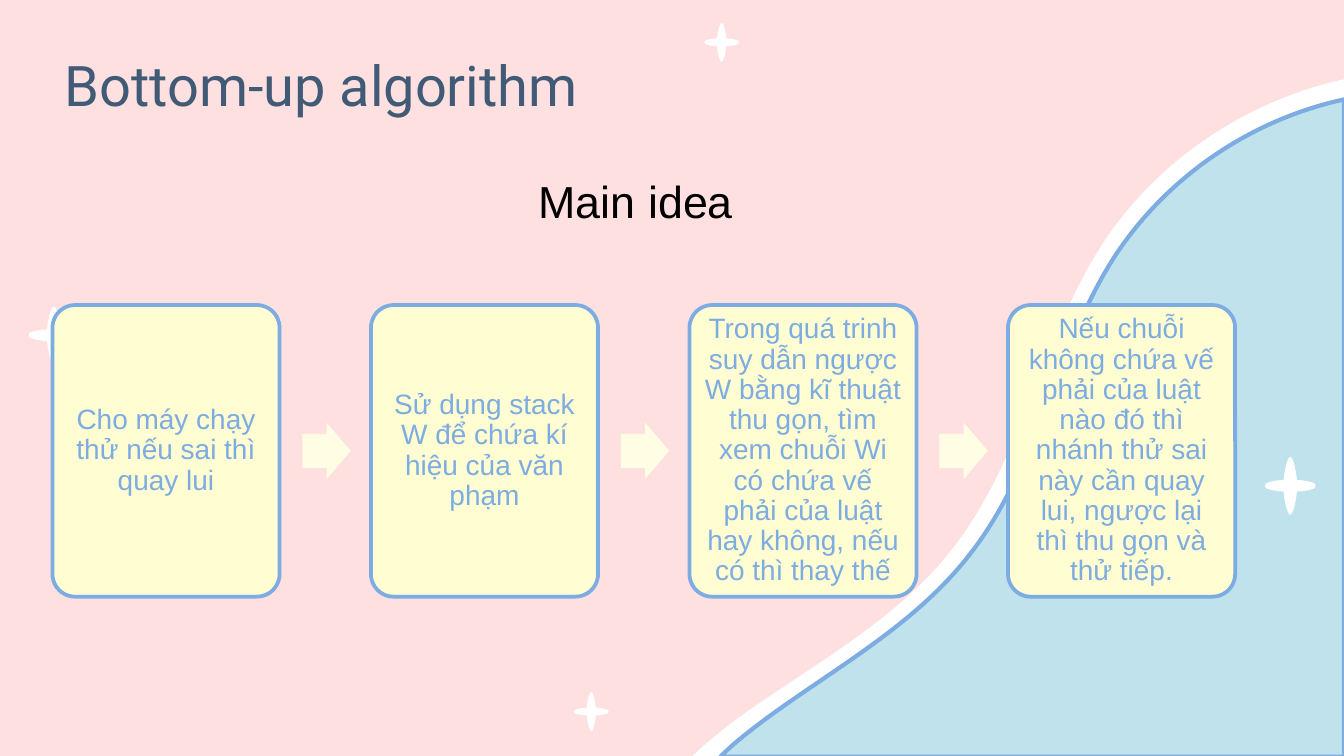
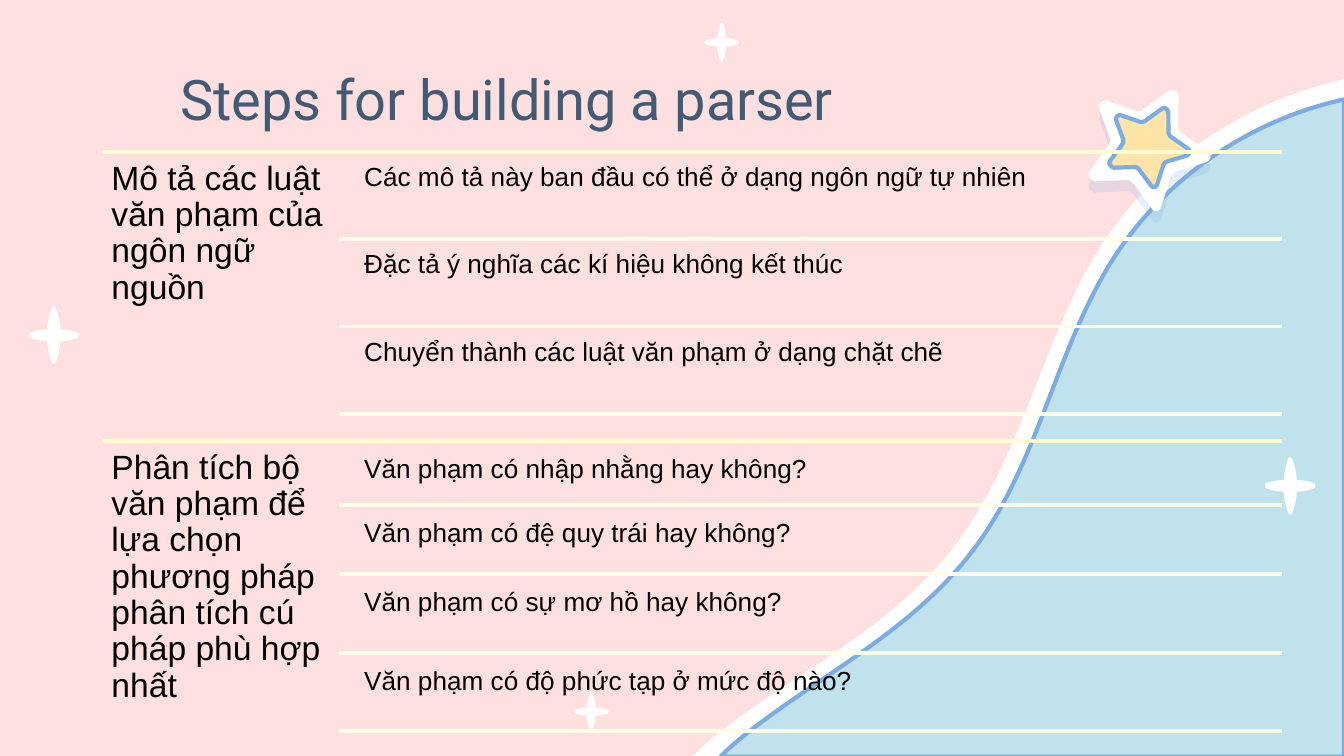
from math import cos, radians, sin

from lxml.etree import SubElement
from pptx import Presentation
from pptx.dml.color import RGBColor
from pptx.enum.shapes import MSO_CONNECTOR, MSO_SHAPE
from pptx.enum.text import MSO_ANCHOR, PP_ALIGN
from pptx.oxml.ns import qn
from pptx.util import Inches, Pt

# Shared look
PINK, WHITE, SKY, BLUE = "FFE0E1", "FFFFFF", "BFE2EC", "7CACE1"
NAVY, BLACK, CREAM, PALE, GOLD = "415A75", "000000", "FFFDD1", "FFFEE5", "FEE4A7"
RULE = "FFFEE9"

# Outlines: a start point, then lines (2 numbers) and curves (6 numbers)
WHITE_HILL = [
    (10, 0.59), (9.28, 0.75, 8.63, 1.18, 8.22, 1.79), (7.75, 2.5, 7.62, 3.4, 7.09, 4.08),
    (6.68, 4.61, 6.06, 4.94, 5.51, 5.33), (5.39, 5.42, 5.26, 5.52, 5.15, 5.63), (10, 5.63)]
BLUE_HILL = [
    (10, 0.74), (9.31, 0.89, 8.69, 1.31, 8.3, 1.9), (7.85, 2.59, 7.73, 3.47, 7.22, 4.12),
    (6.82, 4.64, 6.23, 4.96, 5.71, 5.34), (5.59, 5.43, 5.47, 5.52, 5.36, 5.63), (10, 5.63)]
HALF_SPARKLE = [
    (0.45, 0, 0.39, 0.2, 0.37, 0.4), (0.24, 0.4, 0.1, 0.43, 0.02, 0.46),
    (0, 0.48, 0, 0.52, 0.02, 0.54), (0.1, 0.57, 0.24, 0.6, 0.37, 0.6),
    (0.39, 0.8, 0.45, 1, 0.5, 1)]
# The other half is the first one turned about the centre
SPARKLE = [(0.5, 0)] + HALF_SPARKLE + [tuple(1 - v for v in part) for part in HALF_SPARKLE]
TILTED_STAR = [
    (8.74, 0.67), (8.72, 0.66, 8.71, 0.67, 8.69, 0.68), (8.5, 0.82),
    (8.49, 0.83, 8.48, 0.83, 8.46, 0.83), (8.23, 0.75), (8.2, 0.74, 8.16, 0.78, 8.18, 0.81),
    (8.26, 1.03), (8.26, 1.05, 8.26, 1.07, 8.25, 1.08), (8.11, 1.27),
    (8.09, 1.3, 8.1, 1.33, 8.13, 1.34), (8.13, 1.35, 8.14, 1.35, 8.15, 1.35), (8.39, 1.34),
    (8.39, 1.34, 8.4, 1.34, 8.4, 1.34), (8.41, 1.35, 8.42, 1.35, 8.43, 1.36), (8.57, 1.55),
    (8.57, 1.56, 8.58, 1.57, 8.59, 1.57), (8.61, 1.58, 8.64, 1.56, 8.64, 1.54), (8.71, 1.32),
    (8.72, 1.3, 8.73, 1.29, 8.74, 1.28), (8.97, 1.21), (9.01, 1.2, 9.02, 1.15, 8.99, 1.13),
    (8.79, 0.99), (8.78, 0.98, 8.77, 0.97, 8.77, 0.95), (8.77, 0.72),
    (8.77, 0.69, 8.75, 0.68, 8.74, 0.67)]
STAR_TILT = 21.8
STAR_BOX = (8.08, 0.63, 0.94, 0.89)
INNER_STAR_BOX = (8.24, 0.78, 0.62, 0.58)
UNIT_FRAME = (0, 0, 1, 1)
LARGE, SMALL = (0.38, 0.43), (0.26, 0.29)
SPARKLES = [(0.21, 2.28, *LARGE), (4.27, 5.15, *SMALL), (9.41, 3.4, *LARGE), (5.24, 0.17, *SMALL)]

# Slide content
IDEAS = [
    "Cho máy chạy thử nếu sai thì quay lui",
    "Sử dụng stack W để chứa kí hiệu của văn phạm",
    "Trong quá trinh suy dẫn ngược W bằng kĩ thuật thu gọn, tìm xem chuỗi Wi có chứa vế "
    "phải của luật hay không, nếu có thì thay thế",
    "Nếu chuỗi không chứa vế phải của luật nào đó thì nhánh thử sai này cần quay lui, "
    "ngược lại thì thu gọn và thử tiếp.",
]
SECTIONS = [
    dict(top=1.13, height=1.98, gap=0.03,
         label="Mô tả các luật văn phạm của ngôn ngữ nguồn",
         rows=[("Các mô tả này ban đầu có thể ở dạng ngôn ngữ tự nhiên", 0.65),
               ("Đặc tả ý nghĩa các kí hiệu không kết thúc", 0.65),
               ("Chuyển thành các luật văn phạm ở dạng chặt chẽ", 0.65)]),
    dict(top=3.28, height=2.22, gap=0.05,
         label="Phân tích bộ văn phạm để lựa chọn phương pháp phân tích cú pháp phù hợp nhất",
         rows=[("Văn phạm có nhập nhằng hay không?", 0.48),
               ("Văn phạm có đệ quy trái hay không?", 0.51),
               ("Văn phạm có sự mơ hồ hay không?", 0.59),
               ("Văn phạm có độ phức tạp ở mức độ nào?", 0.58)]),
]


def color(value):
    return RGBColor.from_string(value)


def paint(shape, fill, line=None, width=2):
    shape.shadow.inherit = False
    shape.fill.solid()
    shape.fill.fore_color.rgb = color(fill)
    if line:
        shape.line.color.rgb = color(line)
        shape.line.width = Pt(width)
    else:
        shape.line.fill.background()


def write(shape, text, size, ink, font="Arial", inset=0.06, left=None,
          align=PP_ALIGN.LEFT, anchor=MSO_ANCHOR.TOP, spacing=0.9):
    frame = shape.text_frame
    frame.word_wrap = True
    frame.vertical_anchor = anchor
    frame.margin_top = frame.margin_bottom = frame.margin_right = Inches(inset)
    frame.margin_left = Inches(inset if left is None else left)
    para = frame.paragraphs[0]
    para.alignment = align
    para.line_spacing = spacing
    span = para.add_run()
    span.text = text
    span.font.size, span.font.name = Pt(size), font
    span.font.color.rgb = color(ink)


def add_text(page, box, text, **style):
    write(page.shapes.add_textbox(*map(Inches, box)), text, **style)


def add_title(page, box, text, **style):
    add_text(page, box, text, size=30, ink=NAVY, font="Roboto", inset=0.1, spacing=1, **style)


def add_rule(page, left, right, top, ink):
    rule = page.shapes.add_connector(
        MSO_CONNECTOR.STRAIGHT, *map(Inches, (left, top, right, top)))
    rule.line.color.rgb = color(ink)
    rule.line.width = Pt(2)
    SubElement(rule.element.spPr, qn("a:effectLst"))


def pairs(part):
    return list(zip(part[::2], part[1::2]))


def turn(outline, degrees, box):
    """Turn an outline clockwise about the centre of a box."""
    left, top, width, height = box
    middle_x, middle_y = left + width / 2, top + height / 2
    c, s = cos(radians(degrees)), sin(radians(degrees))
    return [tuple(value for x, y in pairs(part) for value in (
        middle_x + (x - middle_x) * c - (y - middle_y) * s,
        middle_y + (x - middle_x) * s + (y - middle_y) * c)) for part in outline]


def add_outline(page, outline, fill, frame=UNIT_FRAME, box=UNIT_FRAME, **line):
    """Draw an outline, moved and scaled from its frame into a box."""
    parts = [[tuple(Inches(box[axis] + (point[axis] - frame[axis]) * box[axis + 2] / frame[axis + 2])
                    for axis in (0, 1)) for point in pairs(part)] for part in outline]
    builder = page.shapes.build_freeform(*parts[0][0])
    builder.add_line_segments([part[-1] for part in parts[1:]], close=True)
    shape = builder.convert_to_shape()
    # Bend the segments that have control points
    segments = list(shape.element.iter(qn("a:lnTo")))
    for segment, part in zip(segments, parts[1:]):
        if len(part) == 3:
            segment.tag = qn("a:cubicBezTo")
            segment.clear()
            for x, y in part:
                SubElement(segment, qn("a:pt"), x=str(x - shape.left), y=str(y - shape.top))
    paint(shape, fill, **line)
    return shape


def add_drop_shadow(shape, ink, alpha, distance):
    effects = shape.element.spPr.find(qn("a:effectLst"))
    shadow = SubElement(effects, qn("a:outerShdw"), dist=str(Pt(distance)),
                        dir="5400000", algn="bl", rotWithShape="0")
    tint = SubElement(shadow, qn("a:srgbClr"), val=ink)
    SubElement(tint, qn("a:alpha"), val=str(alpha * 1000))


def add_page(deck):
    page = deck.slides.add_slide(deck.slide_layouts[6])
    page.background.fill.solid()
    page.background.fill.fore_color.rgb = color(PINK)
    add_outline(page, WHITE_HILL, WHITE)
    add_outline(page, BLUE_HILL, SKY, line=BLUE, width=2.25)
    for box in SPARKLES:
        add_outline(page, SPARKLE, WHITE, box=box)
    return page


def build_algorithm(deck):
    page = add_page(deck)
    add_title(page, (0.38, 0.28, 5.51, 0.97), "Bottom-up algorithm")

    # Cards in a row, an arrow before each but the first
    first, pitch, top, width, height = 0.39, 2.37, 2.27, 1.69, 2.17
    arrow_width, arrow_height = 0.36, 0.42
    for index, idea in enumerate(IDEAS):
        left = first + index * pitch
        if index:
            arrow = page.shapes.add_shape(MSO_SHAPE.RIGHT_ARROW, *map(Inches, (
                left - 0.51, top + (height - arrow_height) / 2, arrow_width, arrow_height)))
            arrow.adjustments[0] = 0.6
            paint(arrow, PALE)
        card = page.shapes.add_shape(
            MSO_SHAPE.ROUNDED_RECTANGLE, *map(Inches, (left, top, width, height)))
        card.adjustments[0] = 0.1
        paint(card, CREAM, line=BLUE)
        write(card, idea, size=15, ink=BLUE, align=PP_ALIGN.CENTER, anchor=MSO_ANCHOR.MIDDLE)

    add_text(page, (3.91, 1.24, 3.27, 0.5), "Main idea",
             size=24, ink=BLACK, inset=0.05, left=0.1, spacing=1)


def build_parser_steps(deck):
    page = add_page(deck)
    add_title(page, (0.24, 0.38, 7.92, 0.63), "Steps for building a parser", left=1.1)

    # Star on the hill: one upright outline in two sizes, then tilted
    upright = turn(TILTED_STAR, -STAR_TILT, STAR_BOX)
    outer = add_outline(page, upright, WHITE, STAR_BOX, STAR_BOX)
    add_drop_shadow(outer, BLUE, alpha=19, distance=6)
    inner = add_outline(page, upright, GOLD, STAR_BOX, INNER_STAR_BOX, line=BLUE, width=2.25)
    outer.rotation = inner.rotation = STAR_TILT

    # Label at the left, ruled rows at the right
    left, split, right, indent = 0.76, 2.52, 9.54, 0.13
    for section in SECTIONS:
        top, gap = section["top"], section["gap"]
        add_rule(page, left, right, top, CREAM)
        add_text(page, (left, top, split - left, section["height"]), section["label"],
                 size=18, ink=BLACK, inset=0.07)
        for text, height in section["rows"]:
            add_text(page, (split + indent, top + gap, right - split - indent, height - gap),
                     text, size=14, ink=BLACK)
            top += height
            add_rule(page, split, right, top, RULE)


def main():
    deck = Presentation()
    deck.slide_width = Inches(10)
    deck.slide_height = deck.slide_width * 9 // 16
    build_algorithm(deck)
    build_parser_steps(deck)
    deck.save("out.pptx")


if __name__ == "__main__":
    main()
